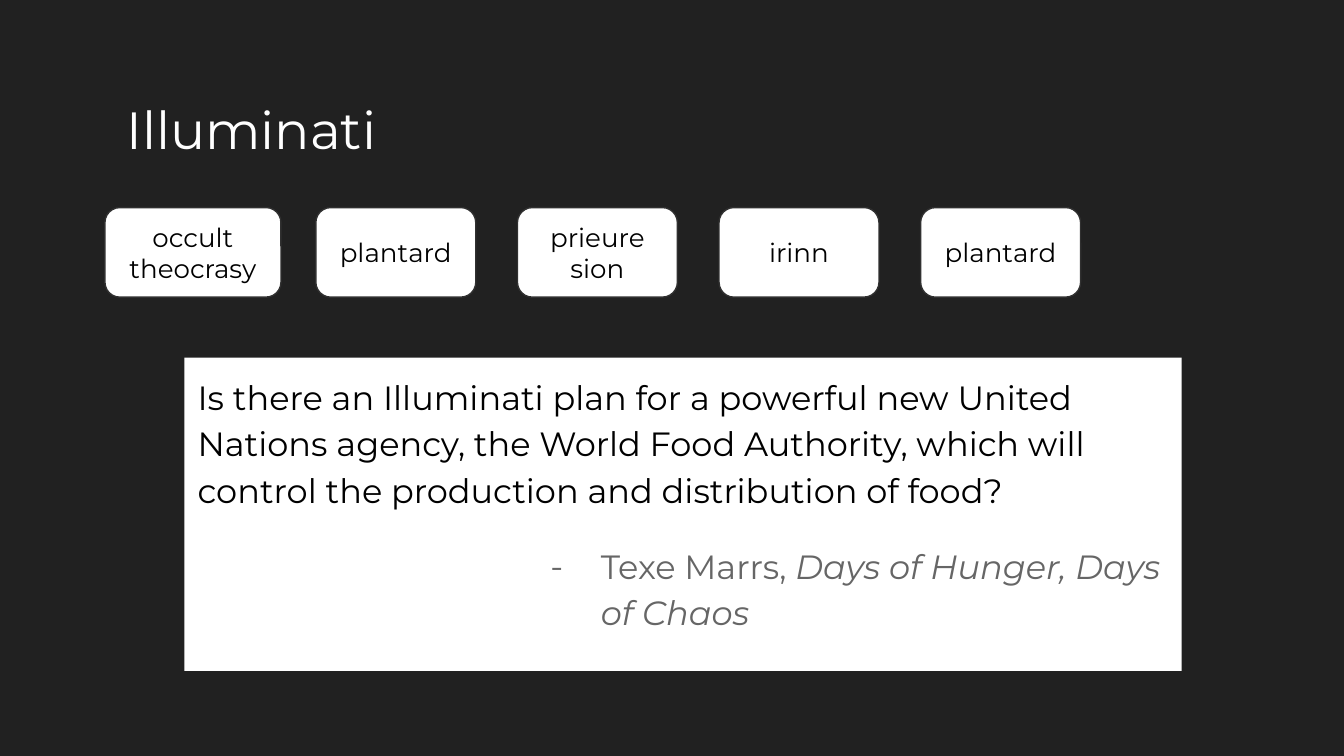
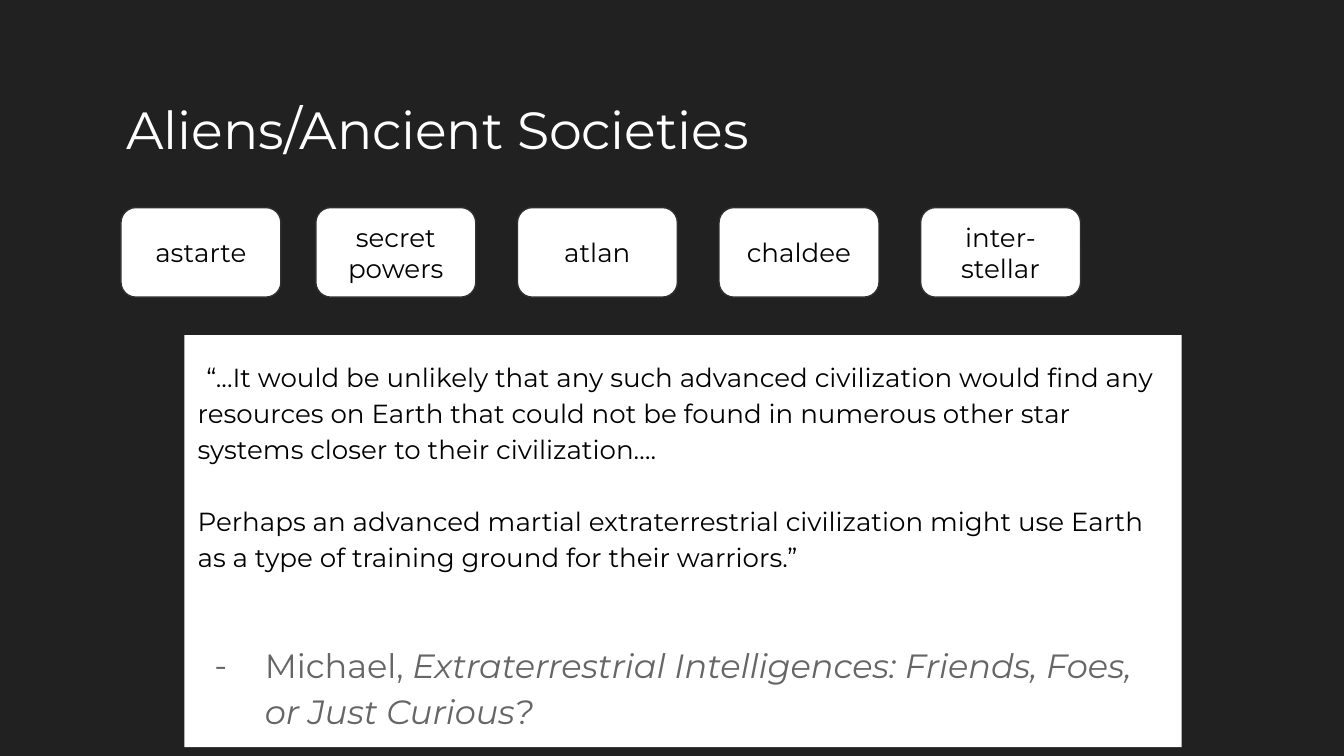
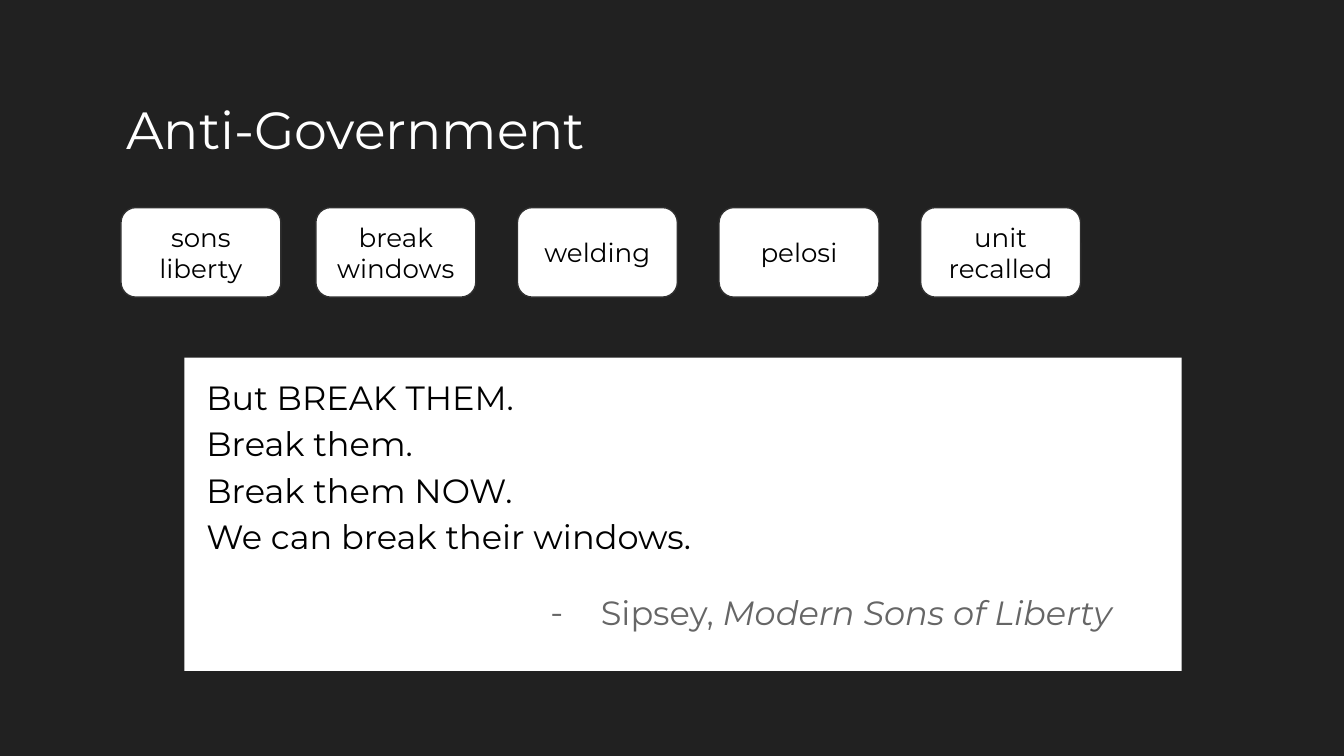
from pptx import Presentation
from pptx.dml.color import RGBColor as Rgb
from pptx.enum.shapes import MSO_SHAPE as Kind
from pptx.enum.text import MSO_ANCHOR as Anchor, MSO_AUTO_SIZE as Fit, PP_ALIGN as Align
from pptx.util import Pt
from dataclasses import dataclass
from lxml.etree import SubElement as Sub
from pptx.oxml.ns import qn


@dataclass(frozen=True)
class Theme:
    font: str = "Montserrat"
    dark: str = "212121"
    edge: str = "303030"
    white: str = "FFFFFF"
    black: str = "000000"
    gray: str = "666666"
    head: int = 28
    body: int = 18
    small: int = 14
    lead: float = 1.15


look = Theme()


def apply(item, form):
    for key, value in form.items():
        setattr(item, key, value)


def add_run(para, text, size, color, italic=None):
    run = para.add_run()
    run.text = text
    apply(run.font, dict(name=look.font, size=Pt(size), italic=italic))
    run.font.color.rgb = Rgb.from_string(color)


def set_frame(frame, anchor, top=7.2):
    apply(frame, dict(
        word_wrap=True, auto_size=Fit.NONE, vertical_anchor=anchor,
        margin_left=Pt(7.2), margin_right=Pt(7.2),
        margin_top=Pt(top), margin_bottom=Pt(7.2)))


def next_para(frame, first):
    return frame.paragraphs[0] if first else frame.add_paragraph()


def add_box(slide, kind, box):
    shape = slide.shapes.add_shape(kind, *map(Pt, box))
    shape.shadow.inherit = False
    shape.fill.solid()
    shape.fill.fore_color.rgb = Rgb.from_string(look.white)
    return shape


def add_title(slide, text, box):
    title = slide.shapes.title
    apply(title, dict(zip(("left", "top", "width", "height"), map(Pt, box))))
    set_frame(title.text_frame, Anchor.MIDDLE)
    para = title.text_frame.paragraphs[0]
    para.alignment = Align.LEFT
    add_run(para, text, look.head, look.white)


def add_chips(slide, words, box, extra):
    """Evenly stepped word chips; the first may reach further left."""
    left, top, wide, high = box
    step = 108
    for spot, word in enumerate(words):
        # The first chip sits nearer to the second
        x, w = (left + spot * step, wide) if spot else (left + 3.6 - extra, wide + extra)
        chip = add_box(slide, Kind.ROUNDED_RECTANGLE, (x, top, w, high))
        chip.line.color.rgb = Rgb.from_string(look.edge)
        chip.line.width = Pt(0.75)
        frame = chip.text_frame
        set_frame(frame, Anchor.MIDDLE)
        for row, line in enumerate(word.split("\n")):
            para = next_para(frame, row == 0)
            para.alignment = Align.CENTER
            add_run(para, line, look.small, look.black)


def set_indent(para, left, first):
    props = para._p.get_or_add_pPr()
    props.set("marL", str(Pt(left)))
    props.set("indent", str(Pt(first)))
    return props


def add_quote(slide, lines, source, box, size=look.body, pad=7.2,
              shift=(0, 0), gap=0, before=16, inset=216):
    """White panel with the quoted lines and a dashed source line."""
    panel = add_box(slide, Kind.RECTANGLE, box)
    panel.line.fill.background()
    frame = panel.text_frame
    set_frame(frame, Anchor.TOP, pad)
    for row, line in enumerate(lines):
        para = next_para(frame, row == 0)
        apply(para, dict(alignment=Align.LEFT, line_spacing=look.lead,
                         space_before=Pt(gap if row else 0)))
        set_indent(para, shift[0], shift[1] if row == 0 else 0)
        add_run(para, line, size, look.black)

    # Source line with a dash bullet
    para = frame.add_paragraph()
    apply(para, dict(alignment=Align.LEFT, line_spacing=look.lead, space_before=Pt(before)))
    props = set_indent(para, inset, -27)
    Sub(Sub(props, qn("a:buClr")), qn("a:srgbClr")).set("val", look.gray)
    Sub(props, qn("a:buFont")).set("typeface", look.font)
    Sub(props, qn("a:buChar")).set("char", "-")
    name, work = source
    add_run(para, name, look.body, look.gray)
    add_run(para, work, look.body, look.gray, True)


def add_topic(deck, title, words, quote, wide=394.6, extra=0):
    slide = deck.slides.add_slide(deck.slide_layouts[5])
    add_title(slide, title, (60.5, 42.5, wide, 53.3))
    add_chips(slide, words, (61.2, 111.2, 85.7, 48), extra)
    add_quote(slide, **quote)


def main():
    deck = Presentation()
    apply(deck, dict(slide_width=Pt(720), slide_height=Pt(405)))
    fill = deck.slide_master.background.fill
    fill.solid()
    fill.fore_color.rgb = Rgb.from_string(look.dark)

    panel = (98.8, 191.6, 534.2, 167.8)
    tall = (98.8, 179.5, 534.2, 220.8)

    add_topic(
        deck, "Illuminati",
        ["occult theocrasy", "plantard", "prieure sion", "irinn", "plantard"],
        dict(box=panel,
             lines=["Is there an Illuminati plan for a powerful new United Nations agency, "
                    "the World Food Authority, which will control the production and "
                    "distribution of food?"],
             source=("Texe Marrs, ", "Days of Hunger, Days of Chaos")),
        extra=8.6)
    add_topic(
        deck, "Aliens/Ancient Societies",
        ["astarte", "secret powers", "atlan", "chaldee", "inter-\nstellar"],
        dict(box=tall, size=look.small, pad=11.5, shift=(0, 4.7),
             gap=19.4, before=35.4, inset=36,
             lines=["“...It would be unlikely that any such advanced civilization would find "
                    "any resources on Earth that could not be found in numerous other star "
                    "systems closer to their civilization….",
                    "Perhaps an advanced martial extraterrestrial civilization might use "
                    "Earth as a type of training ground for their warriors.”"],
             source=("Michael, ",
                     "Extraterrestrial Intelligences: Friends, Foes, or Just Curious?")))
    add_topic(
        deck, "Anti-Government",
        ["sons liberty", "break windows", "welding", "pelosi", "unit recalled"],
        dict(box=panel, shift=(4.7, 0),
             lines=["But BREAK THEM.", "Break them.", "Break them NOW.",
                    "We can break their windows."],
             source=("Sipsey, ", "Modern Sons of Liberty")),
        wide=267.8)
    deck.save("out.pptx")


if __name__ == "__main__":
    main()
